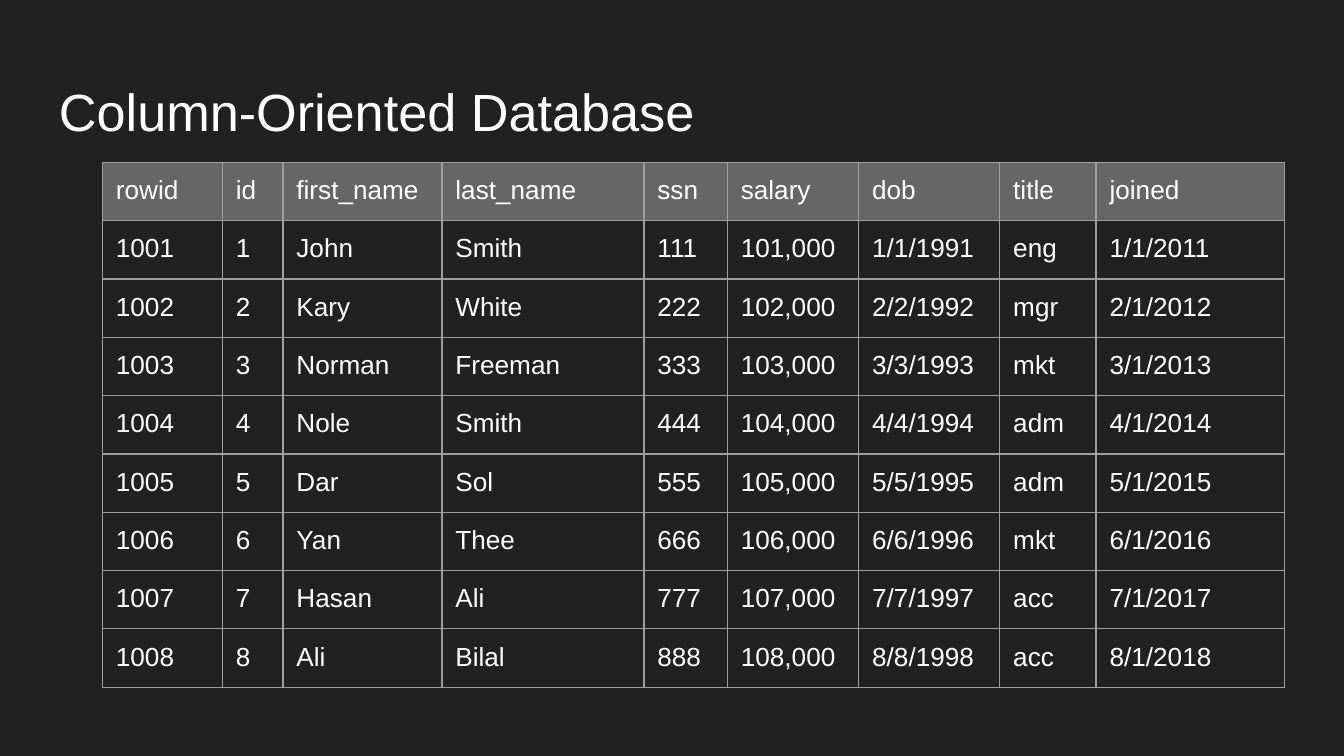
from pptx import Presentation
from pptx.util import Pt
from pptx.dml.color import RGBColor
from pptx.enum.text import MSO_ANCHOR
from pptx.oxml import parse_xml
from pptx.oxml.ns import nsdecls

theme = {
    "font": "Arial",
    "back": RGBColor.from_string("212121"),
    "text": RGBColor.from_string("FFFFFF"),
    "head": RGBColor.from_string("666666"),
    "rule": "9E9E9E",
    "title": 28,
    "body": 14,
}
inset = Pt(7.2)


def write(frame, text, size):
    run = frame.paragraphs[0].add_run()
    run.text = text
    run.font.name = theme["font"]
    run.font.size = Pt(size)
    run.font.color.rgb = theme["text"]


def frame_cell(cell):
    props = cell._tc.get_or_add_tcPr()
    for spot, side in enumerate(("lnL", "lnR", "lnT", "lnB")):
        line = parse_xml(
            f'<a:{side} {nsdecls("a")} w="{Pt(0.75)}"><a:solidFill>'
            f'<a:srgbClr val="{theme["rule"]}"/></a:solidFill></a:{side}>'
        )
        props.insert(spot, line)


deck = Presentation()
deck.slide_width, deck.slide_height = Pt(720), Pt(405)
slide = deck.slides.add_slide(deck.slide_layouts[6])
slide.background.fill.solid()
slide.background.fill.fore_color.rgb = theme["back"]

title = slide.shapes.add_textbox(Pt(24.5), Pt(35), Pt(671), Pt(45.1))
frame = title.text_frame
frame.word_wrap = True
frame.vertical_anchor = MSO_ANCHOR.TOP
frame.margin_left = frame.margin_right = inset
frame.margin_top = frame.margin_bottom = inset
write(frame, "Column-Oriented Database", theme["title"])

heads = ["rowid", "id", "first_name", "last_name", "ssn",
         "salary", "dob", "title", "joined"]
staff = [
    ("John", "Smith", "eng"),
    ("Kary", "White", "mgr"),
    ("Norman", "Freeman", "mkt"),
    ("Nole", "Smith", "adm"),
    ("Dar", "Sol", "adm"),
    ("Yan", "Thee", "mkt"),
    ("Hasan", "Ali", "acc"),
    ("Ali", "Bilal", "acc"),
]
rows = [heads]
for n, (first, last, role) in enumerate(staff, 1):
    rows.append([str(1000 + n), str(n), first, last, str(111 * n),
                 f"{100 + n},000", f"{n}/{n}/{1990 + n}", role,
                 f"{n}/1/{2010 + n}"])

widths = [64.3, 32.4, 85.2, 108.2, 44.7, 70.4, 75.6, 51.6, 101]
height = 30.06
shape = slide.shapes.add_table(len(rows), len(heads), Pt(54.9), Pt(87),
                               Pt(sum(widths)), Pt(height * len(rows)))
table = shape.table
table.horz_banding = False
for column, width in zip(table.columns, widths):
    column.width = Pt(width)
for r, row in enumerate(rows):
    table.rows[r].height = Pt(height)
    for c, text in enumerate(row):
        cell = table.cell(r, c)
        cell.margin_left = cell.margin_right = inset
        cell.margin_top = cell.margin_bottom = inset
        if r == 0:
            cell.fill.solid()
            cell.fill.fore_color.rgb = theme["head"]
        else:
            cell.fill.background()
        frame_cell(cell)
        write(cell.text_frame, text, theme["body"])

deck.save("out.pptx")
